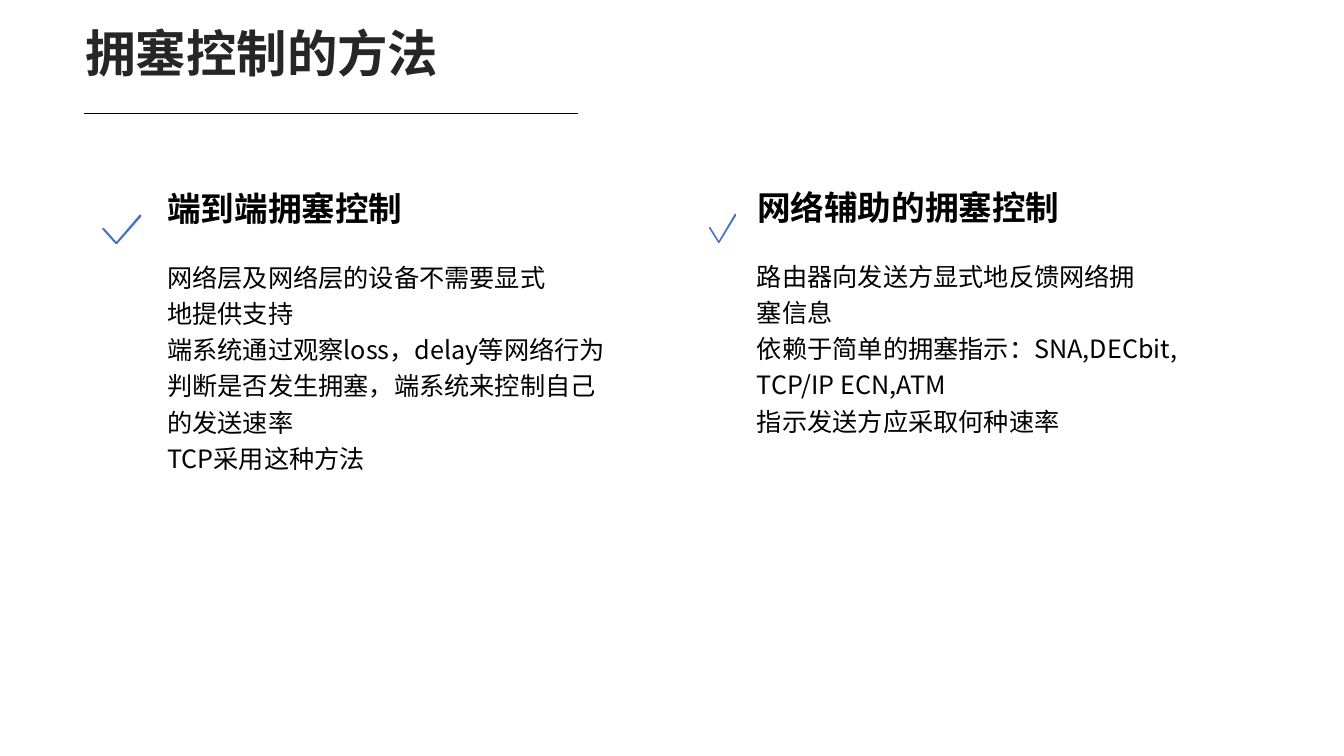
from pptx import Presentation
from pptx.dml.color import RGBColor
from pptx.enum.shapes import MSO_CONNECTOR
from pptx.enum.text import MSO_ANCHOR, PP_ALIGN
from pptx.oxml.ns import qn
from pptx.util import Inches, Pt
from lxml import etree

STRAIGHT = MSO_CONNECTOR.STRAIGHT
TOP, MIDDLE = MSO_ANCHOR.TOP, MSO_ANCHOR.MIDDLE
LEFT, JUSTIFY = PP_ALIGN.LEFT, PP_ALIGN.JUSTIFY

FONT = "Noto Sans CJK SC"
BLACK = RGBColor(0x00, 0x00, 0x00)
TITLE_GREY = RGBColor(0x26, 0x26, 0x26)
CHECK_BLUE = RGBColor(0x44, 0x72, 0xC4)

BODY_PITCH = 25.9  # points from line to line
CHECK_OUTLINE = [(0.96, 0), (0.37, 0.93), (0.05, 0.45), (0, 0.48), (0.35, 1),
                 (0.39, 1), (1, 0.07), (1, 0.02), (0.98, 0)]

# check left, check width, text left, top, heading width, body width, heading, body lines
METHODS = [
    (1.01, 0.39, 1.56, 1.82, 7.39, 8.02, "端到端拥塞控制", [
        "网络层及网络层的设备不需要显式",
        "地提供支持",
        "端系统通过观察loss，delay等网络行为",
        "判断是否发生拥塞，端系统来控制自己",
        "的发送速率",
        "TCP采用这种方法",
    ]),
    (7.03, 0.27, 7.41, 1.81, 5.12, 5.56, "网络辅助的拥塞控制", [
        "路由器向发送方显式地反馈网络拥",
        "塞信息",
        "依赖于简单的拥塞指示：SNA,DECbit,",
        "TCP/IP ECN,ATM",
        "指示发送方应采取何种速率",
    ]),
]


def add_text(s, x, y, w, h, lines, size, color=BLACK, bold=False,
             spacing=1.0, align=JUSTIFY, anchor=TOP):
    tf = s.shapes.add_textbox(Inches(x), Inches(y), Inches(w), Inches(h)).text_frame
    tf.word_wrap = True
    tf.vertical_anchor = anchor
    for i, line in enumerate(lines):
        p = tf.paragraphs[0] if i == 0 else tf.add_paragraph()
        p.alignment = align
        p.line_spacing = spacing
        r = p.add_run()
        r.text = line
        r.font.size = Pt(size)
        r.font.bold = bold
        r.font.color.rgb = color
        r.font.name = FONT
        etree.SubElement(r.font._element, qn("a:ea")).set("typeface", FONT)


def add_title(s, x, y, w, h):
    """Title with a thin rule along the bottom of its box."""
    add_text(s, x, y, w, h, ["拥塞控制的方法"], 36, TITLE_GREY, True, 0.9, LEFT, MIDDLE)
    rule_x, rule_y = Inches(x + 0.08), Inches(y + h)
    rule = s.shapes.add_connector(STRAIGHT, rule_x, rule_y, rule_x + Inches(4.9), rule_y)
    rule.line.color.rgb = BLACK
    rule.line.width = Pt(0.5)
    etree.SubElement(rule._element.spPr, qn("a:effectLst"))


def add_check(s, x, y, w, h):
    points = [(Inches(x + w * u), Inches(y + h * v)) for u, v in CHECK_OUTLINE]
    outline = s.shapes.build_freeform(*points[0])
    outline.add_line_segments(points[1:], close=True)
    sp = outline.convert_to_shape()
    sp.shadow.inherit = False
    sp.fill.solid()
    sp.fill.fore_color.rgb = CHECK_BLUE
    sp.line.fill.background()


def add_method(s, check_x, check_w, x, y, heading_w, body_w, heading, lines):
    add_check(s, check_x, y + 0.31, check_w, 0.29)
    body_h = len(lines) * BODY_PITCH / 72 + 0.1
    add_text(s, x, y + 0.67, body_w, body_h, lines, 18, spacing=Pt(BODY_PITCH))
    add_text(s, x, y, heading_w, 0.54, [heading], 24, bold=True)


def main():
    prs = Presentation()
    prs.slide_width, prs.slide_height = Inches(13.33), Inches(7.5)
    s = prs.slides.add_slide(prs.slide_layouts[6])
    add_title(s, 0.75, 0, 11.87, 1.12)
    for method in METHODS:
        add_method(s, *method)
    prs.save("out.pptx")


if __name__ == "__main__":
    main()
